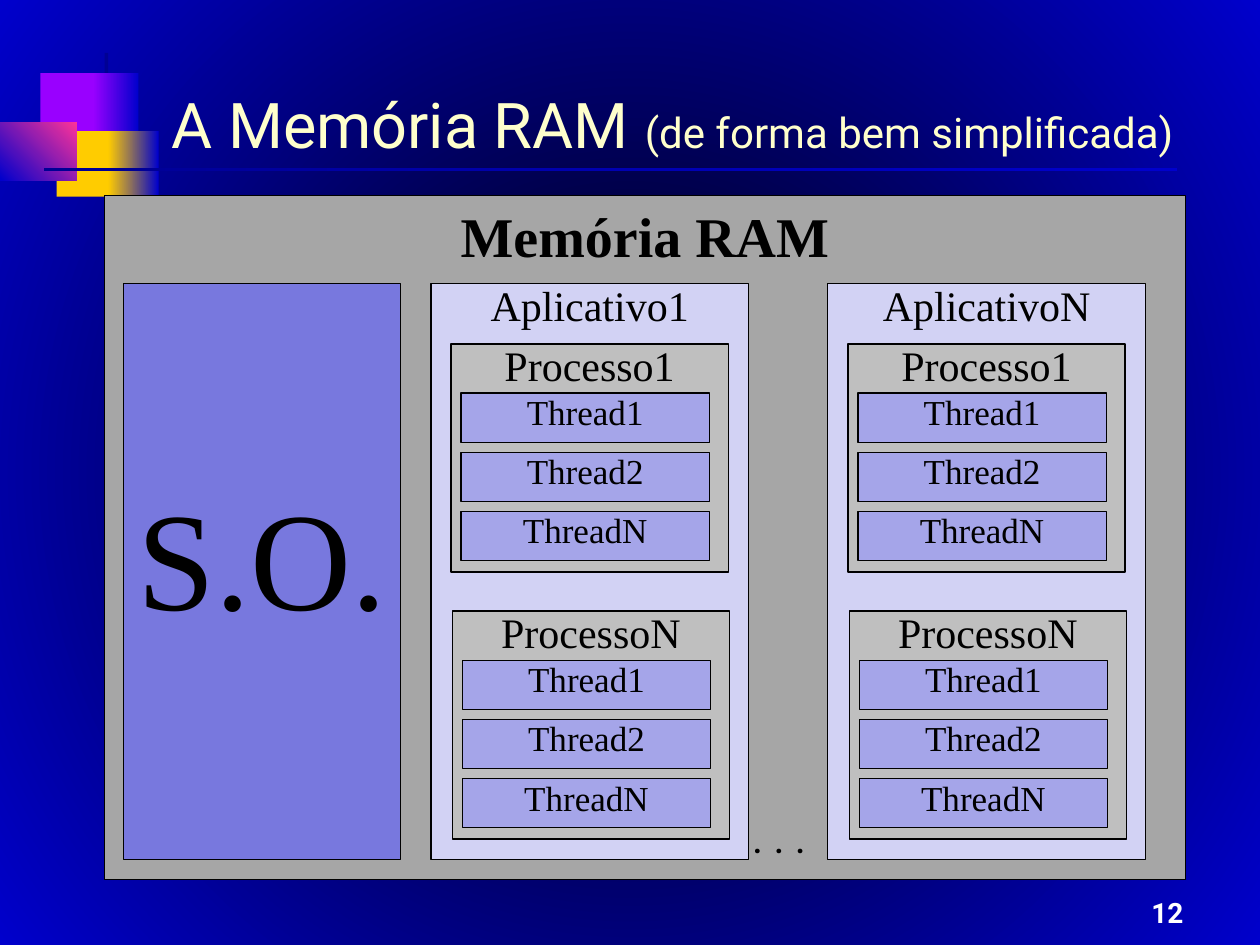
import pptx
import pptx.util
import pptx.dml.color
import pptx.enum.shapes
import pptx.enum.text
from lxml import etree

Inches, Pt = pptx.util.Inches, pptx.util.Pt
ALIGN, ANCHOR = pptx.enum.text.PP_ALIGN, pptx.enum.text.MSO_ANCHOR
SERIF, SANS = "Times New Roman", "Roboto"

COLORS = {
    "blue": "0000CC", "night": "000004", "navy": "000094",
    "purple": "9900FF", "yellow": "FFCC00", "pink": "FF3399",
    "title": "FFFFCC", "white": "FFFFFF", "black": "000000",
    "ram": "A6A6A6", "system": "7878DE", "app": "D2D2F4",
    "process": "BFBFBF", "thread": "A5A5E9",
}
TITLE = [("A Memória RAM ", 36), ("(de forma bem simplificada)", 24)]
APPS = ["Aplicativo1", "AplicativoN"]
PROCESSES = ["Processo1", "ProcessoN"]
THREADS = ["Thread1", "Thread2", "ThreadN"]
DECOR = [
    ((0.83, 0.42, 0.03, 1.15), ["navy"], 0),
    ((0.32, 0.58, 0.48, 0.52), ["purple"], 0),
    ((0.74, 0.58, 0.36, 0.52), ["blue", "purple"], 180),
    ((0.45, 1.04, 0.46, 0.52), ["yellow"], 0),
    ((0.86, 1.04, 0.40, 0.52), ["blue", "yellow"], 180),
    ((0, 0.97, 0.61, 0.46), ["pink", "blue"], 225),
    ((0.35, 1.33, 8.99, 0.03), ["blue", "navy"], 180),
]


def rgb(name):
    return pptx.dml.color.RGBColor.from_string(COLORS[name])


def paint(fill, names):
    if len(names) == 1:
        fill.solid()
        fill.fore_color.rgb = rgb(names[0])
        return
    fill.gradient()
    for stop, name, position in zip(fill.gradient_stops, names, (0, 1)):
        stop.color.rgb = rgb(name)
        stop.position = position


def style(p, size, font, color, bold=False):
    p.font.size = Pt(size)
    p.font.name = font
    p.font.bold = bold
    p.font.color.rgb = rgb(color)


def add_rect(s, box, names):
    sp = s.shapes.add_shape(pptx.enum.shapes.MSO_SHAPE.RECTANGLE, *map(Inches, box))
    sp.shadow.inherit = False
    paint(sp.fill, names)
    sp.line.fill.background()
    return sp


def add_block(s, box, color, text, size, anchor=ANCHOR.TOP, top=0.05, bold=False):
    sp = add_rect(s, box, [color])
    sp.line.color.rgb = rgb("black")
    sp.line.width = Pt(0.75)
    tf = sp.text_frame
    tf.vertical_anchor = anchor
    tf.margin_top = Inches(top)
    p = tf.paragraphs[0]
    p.text = text
    p.alignment = ALIGN.CENTER
    p.line_spacing = 0.78
    style(p, size, SERIF, "black", bold)


def add_text(s, box, text, size, color, bold=False):
    tf = s.shapes.add_textbox(*map(Inches, box)).text_frame
    p = tf.paragraphs[0]
    p.text = text
    style(p, size, SANS, color, bold)
    return tf


def set_background(s):
    fill = s.background.fill
    paint(fill, ["night", "blue"])
    lin = s.element.find(".//{*}bg//{*}lin")
    grad = lin.getparent()
    ns = "{%s}" % etree.QName(grad).namespace
    radial = etree.Element(ns + "path", {"path": "circle"})
    etree.SubElement(radial, ns + "fillToRect", dict.fromkeys("ltrb", "50000"))
    grad.replace(lin, radial)


def set_title(s):
    sp = s.shapes.title
    sp.left, sp.top, sp.width, sp.height = map(Inches, (1.26, 0.56, 8.52, 0.77))
    tf = sp.text_frame
    tf.auto_size = pptx.enum.text.MSO_AUTO_SIZE.NONE
    tf.vertical_anchor = ANCHOR.BOTTOM
    p = tf.paragraphs[0]
    p.alignment = ALIGN.LEFT
    style(p, 36, SANS, "title")
    for text, size in TITLE:
        r = p.add_run()
        r.text = text
        r.font.size = Pt(size)


def add_memory(s):
    add_block(s, (0.83, 1.55, 8.58, 5.43), "ram", "Memória RAM", 32, top=0.16, bold=True)
    add_block(s, (0.98, 2.25, 2.2, 4.57), "system", "S.O.", 80, ANCHOR.MIDDLE)
    for a, app in enumerate(APPS):
        x = 3.42 + 3.15 * a
        add_block(s, (x, 2.25, 2.52, 4.57), "app", app, 24)
        for i, process in enumerate(PROCESSES):
            left, top = x + 0.16 + 0.01 * i, 2.73 + 2.12 * i
            add_block(s, (left, top, 2.2, 1.81), "process", process, 24)
            for j, thread in enumerate(THREADS):
                box = (left + 0.08, top + 0.39 + 0.47 * j, 1.97, 0.39)
                add_block(s, box, "thread", thread, 20)


def main():
    prs = pptx.Presentation()
    prs.slide_width, prs.slide_height = Inches(10), Inches(7.5)
    s = prs.slides.add_slide(prs.slide_layouts[5])
    set_background(s)
    for box, names, angle in DECOR:
        sp = add_rect(s, box, names)
        if len(names) > 1:
            sp.fill.gradient_angle = angle
    set_title(s)
    tf = add_text(s, (7.42, 6.92, 2.07, 0.5), "12", 16, "white", True)
    tf.word_wrap = True
    tf.vertical_anchor = ANCHOR.BOTTOM
    tf.paragraphs[0].alignment = ALIGN.RIGHT
    add_memory(s)
    tf = add_text(s, (5.87, 6.27, 0.72, 0.56), ". . .", 24, "black")
    tf.word_wrap = False
    tf.paragraphs[0].line_spacing = 1.3
    prs.save("out.pptx")


if __name__ == "__main__":
    main()
